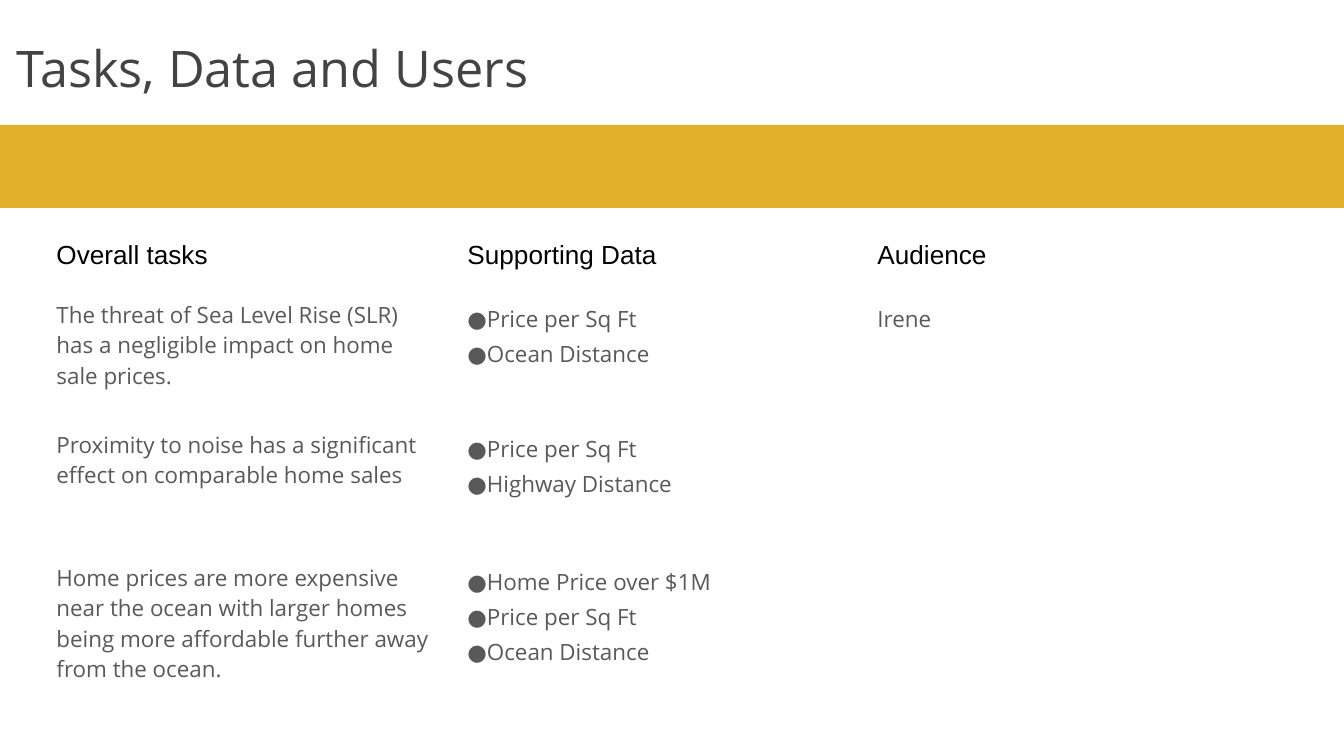
import dataclasses

import pptx
import pptx.dml.color
import pptx.enum.shapes
import pptx.enum.text
import pptx.util

EMU_PER_PX = 914400 / 134.4


@dataclasses.dataclass(frozen=True)
class TextStyle:
    font: str
    size: int
    color: str
    format: dict


@dataclasses.dataclass(frozen=True)
class Entry:
    row: int
    column: int
    lines: tuple[str, ...]
    style: TextStyle


def px(length: int) -> pptx.util.Emu:
    return pptx.util.Emu(round(length * EMU_PER_PX))


def color(value: str) -> pptx.dml.color.RGBColor:
    return pptx.dml.color.RGBColor.from_string(value)


def set_all(target, values: dict) -> None:
    for name, value in values.items():
        setattr(target, name, value)


TITLE = TextStyle("Open Sans", 27, "434343", {
    "line_spacing": 1.15,
    "space_before": pptx.util.Pt(3),
    "space_after": pptx.util.Pt(12),
})
HEADING = TextStyle("Arial", 14, "000000", {"line_spacing": 1.15})
TASK = TextStyle("Open Sans", 12, "595959", {})
DETAIL = TextStyle("Open Sans", 12, "595959", {"line_spacing": 1.15})

COLUMN_WIDTHS = (411, 410, 411)
ROW_HEIGHTS = (59, 130, 133, 108)
HEADINGS = ("Overall tasks", "Supporting Data", "Audience")
TASKS = (
    ("The threat of Sea Level Rise (SLR) has a negligible impact on home sale prices.",
     ("●Price per Sq Ft", "●Ocean Distance")),
    ("Proximity to noise has a significant effect on comparable home sales",
     ("●Price per Sq Ft", "●Highway Distance")),
    ("Home prices are more expensive near the ocean with larger homes being more "
     "affordable further away from the ocean.",
     ("●Home Price over $1M", "●Price per Sq Ft", "●Ocean Distance")),
)


def write(frame, lines: tuple[str, ...], style: TextStyle) -> None:
    for index, line in enumerate(lines):
        para = frame.add_paragraph() if index else frame.paragraphs[0]
        set_all(para, style.format)
        span = para.add_run()
        span.text = line
        set_all(span.font, {"name": style.font, "size": pptx.util.Pt(style.size), "bold": False})
        span.font.color.rgb = color(style.color)


def draw_title(page) -> None:
    box = page.shapes.add_textbox(px(3), px(0), px(687), px(125))
    set_all(box.text_frame, {
        "word_wrap": True,
        "vertical_anchor": pptx.enum.text.MSO_ANCHOR.MIDDLE,
    })
    write(box.text_frame, ("Tasks, Data and Users",), TITLE)


def draw_band(page) -> None:
    band = page.shapes.add_shape(
        pptx.enum.shapes.MSO_SHAPE.RECTANGLE, px(-5), px(125), px(1355), px(83))
    band.shadow.inherit = False
    band.fill.solid()
    band.fill.fore_color.rgb = color("E1B12C")
    band.line.fill.background()


def draw_table(page, entries: list[Entry]) -> None:
    table = page.shapes.add_table(
        len(ROW_HEIGHTS), len(COLUMN_WIDTHS), px(43), px(223),
        px(sum(COLUMN_WIDTHS)), px(sum(ROW_HEIGHTS))).table
    set_all(table, {"first_row": False, "horz_banding": False})
    for column, width in zip(table.columns, COLUMN_WIDTHS):
        column.width = px(width)
    for row, height in zip(table.rows, ROW_HEIGHTS):
        row.height = px(height)

    margins = dict.fromkeys(
        ("margin_left", "margin_top", "margin_right", "margin_bottom"), pptx.util.Inches(0.1))
    for cell in table.iter_cells():
        cell.fill.background()
        set_all(cell, margins)

    # One audience serves every task
    table.cell(1, 2).merge(table.cell(len(TASKS), 2))
    for entry in entries:
        write(table.cell(entry.row, entry.column).text_frame, entry.lines, entry.style)


def main() -> None:
    deck = pptx.Presentation()
    set_all(deck, {"slide_width": px(1344), "slide_height": px(756)})
    page = deck.slides.add_slide(deck.slide_layouts[6])

    # Title and band
    draw_title(page)
    draw_band(page)

    # Tasks with their data and audience
    entries = [Entry(0, column, (text,), HEADING) for column, text in enumerate(HEADINGS)]
    for row, (task, data) in enumerate(TASKS, start=1):
        entries += [Entry(row, 0, (task,), TASK), Entry(row, 1, data, DETAIL)]
    entries.append(Entry(1, 2, ("Irene",), DETAIL))
    draw_table(page, entries)

    deck.save("out.pptx")


if __name__ == "__main__":
    main()
